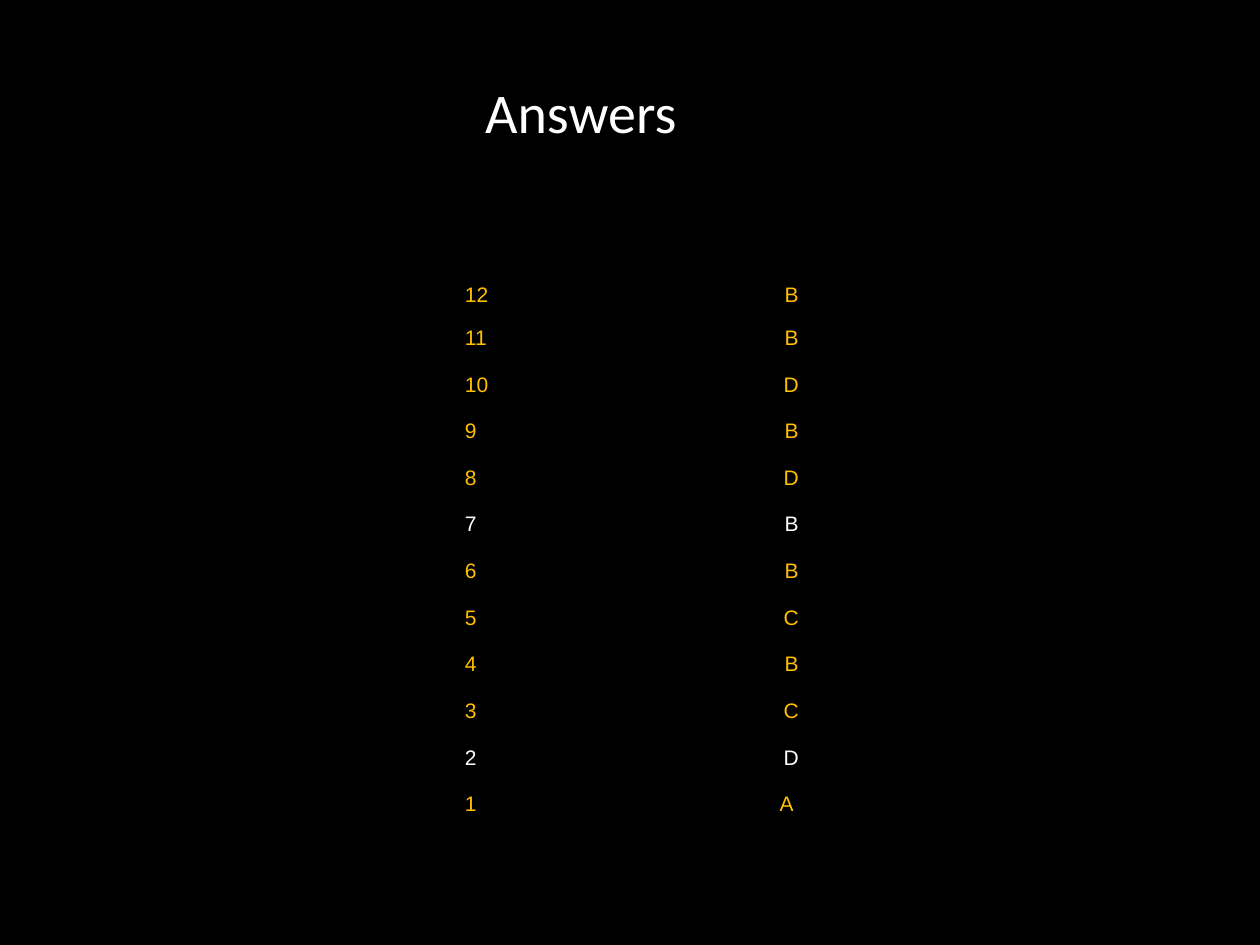
import pptx
import pptx.util
import pptx.dml.color
import pptx.enum.shapes
import pptx.enum.text

Pt = pptx.util.Pt
ALIGN = pptx.enum.text.PP_ALIGN
ANCHOR = pptx.enum.text.MSO_ANCHOR
HUES = {"back": "000000", "gold": "FFC000", "white": "FFFFFF"}
KEYS = "BBDBDBBCBCDA"  # answers from question 12 down to 1
WHITE = {7, 2}
PLAIN = "{2D5ABB26-0587-4C30-8999-92F81FD0307C}"  # no style, no grid


def tint(name):
    """Return the colour with this name."""
    return pptx.dml.color.RGBColor.from_string(HUES[name])


def write(frame, text, size=12, font="Arial", hue="gold", align=ALIGN.LEFT):
    """Put formatted text in a text frame."""
    para = frame.paragraphs[0]
    para.alignment = align
    run = para.add_run()
    run.text = text
    run.font.size = Pt(size)
    run.font.name = font
    run.font.color.rgb = tint(hue)


def add_back(slide, wide, high):
    """Cover the slide with black."""
    box = slide.shapes.add_shape(
        pptx.enum.shapes.MSO_SHAPE.RECTANGLE, 0, 0, wide, high)
    box.shadow.inherit = False
    box.fill.solid()
    box.fill.fore_color.rgb = tint("back")
    box.line.fill.background()


def add_title(slide, text):
    """Add the centred title."""
    box = slide.shapes.add_textbox(Pt(224), Pt(12.2), Pt(216), Pt(102.2))
    box.text_frame.word_wrap = True
    box.text_frame.vertical_anchor = ANCHOR.MIDDLE
    write(box.text_frame, text, size=32, font="Calibri", hue="white",
          align=ALIGN.CENTER)


def fill_cell(cell, text, left=0, right=0, **form):
    """Set margins, fill and text of one cell."""
    cell.margin_left, cell.margin_right = Pt(left), Pt(right)
    cell.margin_top = cell.margin_bottom = 0
    cell.vertical_anchor = ANCHOR.TOP
    cell.fill.solid()
    cell.fill.fore_color.rgb = tint("back")
    write(cell.text_frame, text, **form)


def add_grid(slide):
    """Add the table of question numbers and answers."""
    count = len(KEYS)
    frame = slide.shapes.add_table(
        count, 2, Pt(262.8), Pt(162), Pt(193.6), Pt(316.8))
    grid = frame.table
    grid.first_row = grid.horz_banding = False
    grid._tbl.tblPr.find(pptx.oxml.ns.qn("a:tableStyleId")).text = PLAIN
    grid.columns[0].width, grid.columns[1].width = Pt(77), Pt(116.6)
    for row, key in enumerate(KEYS):
        num = count - row
        hue = "white" if num in WHITE else "gold"
        grid.rows[row].height = Pt(24.5 if row in (0, count - 1) else 26.65)
        fill_cell(grid.cell(row, 0), str(num), left=2.9, hue=hue)
        fill_cell(grid.cell(row, 1), key, right=2.9 if num == 1 else 0,
                  hue=hue, align=ALIGN.RIGHT)
    for cell in grid.rows[count - 1].cells:
        cell.fill.background()


def main():
    """Build and save the slide."""
    deck = pptx.Presentation()
    deck.slide_width, deck.slide_height = Pt(720), Pt(540)
    slide = deck.slides.add_slide(deck.slide_layouts[6])
    add_back(slide, deck.slide_width, deck.slide_height)
    add_grid(slide)
    add_title(slide, "Answers")
    deck.save("out.pptx")


main()
